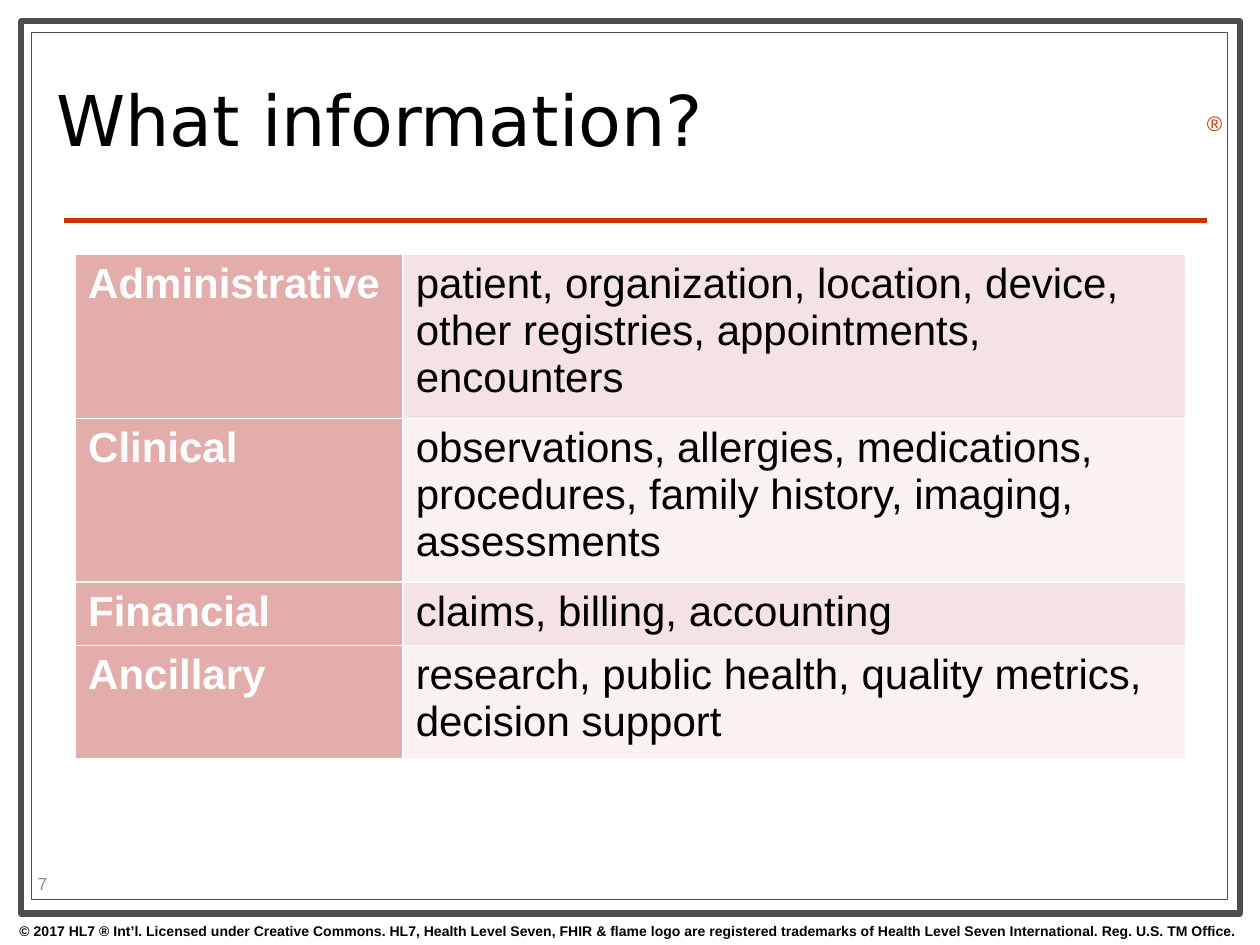
"""Builds the slide that lists the kinds of health information."""
from lxml.etree import SubElement
from pptx import Presentation
from pptx.dml.color import RGBColor
from pptx.enum.shapes import MSO_CONNECTOR, MSO_SHAPE
from pptx.enum.text import MSO_ANCHOR, PP_ALIGN
from pptx.oxml.ns import qn
from pptx.util import Inches, Pt

COLORS = {
    "white": "FFFFFF",
    "black": "000000",
    "frame": "4D4D4D",
    "accent": "CC3300",
    "number": "8C8C8C",
    "label": "E2ADAA",
    "odd": "F4E3E2",
    "even": "FAF1F1",
}
COLUMN_WIDTHS = (2.6, 6.21)
ROWS = (
    (1.21, "Administrative", "patient, organization, location, device, "
     "other registries, appointments, encounters"),
    (1.21, "Clinical", "observations, allergies, medications, procedures, "
     "family history, imaging, assessments"),
    (0.47, "Financial", "claims, billing, accounting"),
    (0.84, "Ancillary", "research, public health, quality metrics, decision support"),
)
COPYRIGHT = (
    "© 2017 HL7 ® Int’l. Licensed under Creative Commons. HL7, Health Level Seven, "
    "FHIR & flame logo are registered trademarks of Health Level Seven International. "
    "Reg. U.S. TM Office."
)


def rgb(name):
    return RGBColor.from_string(COLORS[name])


def style_font(para, size, color, bold=False, face="Arial"):
    font = para.font
    font.name, font.size, font.bold = face, Pt(size), bold
    font.color.rgb = rgb(color)


def add_frame(page, left, top, width, height, weight):
    frame = page.shapes.add_shape(
        MSO_SHAPE.RECTANGLE, Inches(left), Inches(top), Inches(width), Inches(height))
    frame.shadow.inherit = False
    frame.fill.solid()
    frame.fill.fore_color.rgb = rgb("white")
    frame.line.color.rgb = rgb("frame")
    frame.line.width = Pt(weight)


def add_rule(page, left, right, top):
    rule = page.shapes.add_connector(
        MSO_CONNECTOR.STRAIGHT, Inches(left), Inches(top), Inches(right), Inches(top))
    rule.line.color.rgb = rgb("accent")
    rule.line.width = Pt(3)
    SubElement(rule._element.spPr, qn("a:effectLst"))


def add_text(page, text, left, top, width, height, size, color,
             anchor=MSO_ANCHOR.TOP, **font_options):
    box = page.shapes.add_textbox(
        Inches(left), Inches(top), Inches(width), Inches(height))
    box.text_frame.word_wrap = True
    box.text_frame.vertical_anchor = anchor
    para = box.text_frame.paragraphs[0]
    para.text = text
    style_font(para, size, color, **font_options)
    return para


def add_borders(cell):
    properties = cell._tc.get_or_add_tcPr()
    for position, side in enumerate(("lnL", "lnR", "lnT", "lnB")):
        line = properties.makeelement(qn(f"a:{side}"), {"w": str(Pt(1))})
        fill = SubElement(line, qn("a:solidFill"))
        SubElement(fill, qn("a:srgbClr"), val=COLORS["white"])
        properties.insert(position, line)


def fill_cell(cell, text, color, fill, bold):
    cell.fill.solid()
    cell.fill.fore_color.rgb = rgb(fill)
    para = cell.text_frame.paragraphs[0]
    para.text = text
    style_font(para, 24, color, bold)
    add_borders(cell)


def add_information_table(page):
    height = sum(row[0] for row in ROWS)
    table = page.shapes.add_table(
        len(ROWS), len(COLUMN_WIDTHS), Inches(0.6), Inches(2.02),
        Inches(sum(COLUMN_WIDTHS)), Inches(height)).table
    table.first_row, table.first_col = False, True
    for column, width in zip(table.columns, COLUMN_WIDTHS):
        column.width = Inches(width)
    for index, (row_height, label, details) in enumerate(ROWS):
        table.rows[index].height = Inches(row_height)
        fill_cell(table.cell(index, 0), label, "white", "label", True)
        band = "even" if index % 2 else "odd"
        fill_cell(table.cell(index, 1), details, "black", band, False)


def main():
    deck = Presentation()
    deck.slide_width, deck.slide_height = Inches(10), Inches(7.5)
    page = deck.slides.add_slide(deck.slide_layouts[6])
    add_frame(page, 0.17, 0.17, 9.67, 7.08, 3.5)
    add_frame(page, 0.25, 0.26, 9.49, 6.88, 0.75)
    add_rule(page, 0.51, 9.58, 1.75)
    notice = add_text(page, COPYRIGHT, -0.01, 7.27, 10, 0.23, 8, "black", bold=True)
    notice.alignment = PP_ALIGN.CENTER
    add_text(page, "®", 9.48, 0.83, 0.31, 0.3, 12, "accent")
    title = add_text(page, "What information?", 0.35, 0.36, 7.17, 1.29, 40, "black",
                     MSO_ANCHOR.MIDDLE, face="DejaVu Sans")
    title.line_spacing = 0.8
    add_text(page, "7", 0.2, 6.89, 0.79, 0.24, 10, "number", MSO_ANCHOR.MIDDLE)
    add_information_table(page)
    deck.save("out.pptx")


if __name__ == "__main__":
    main()
